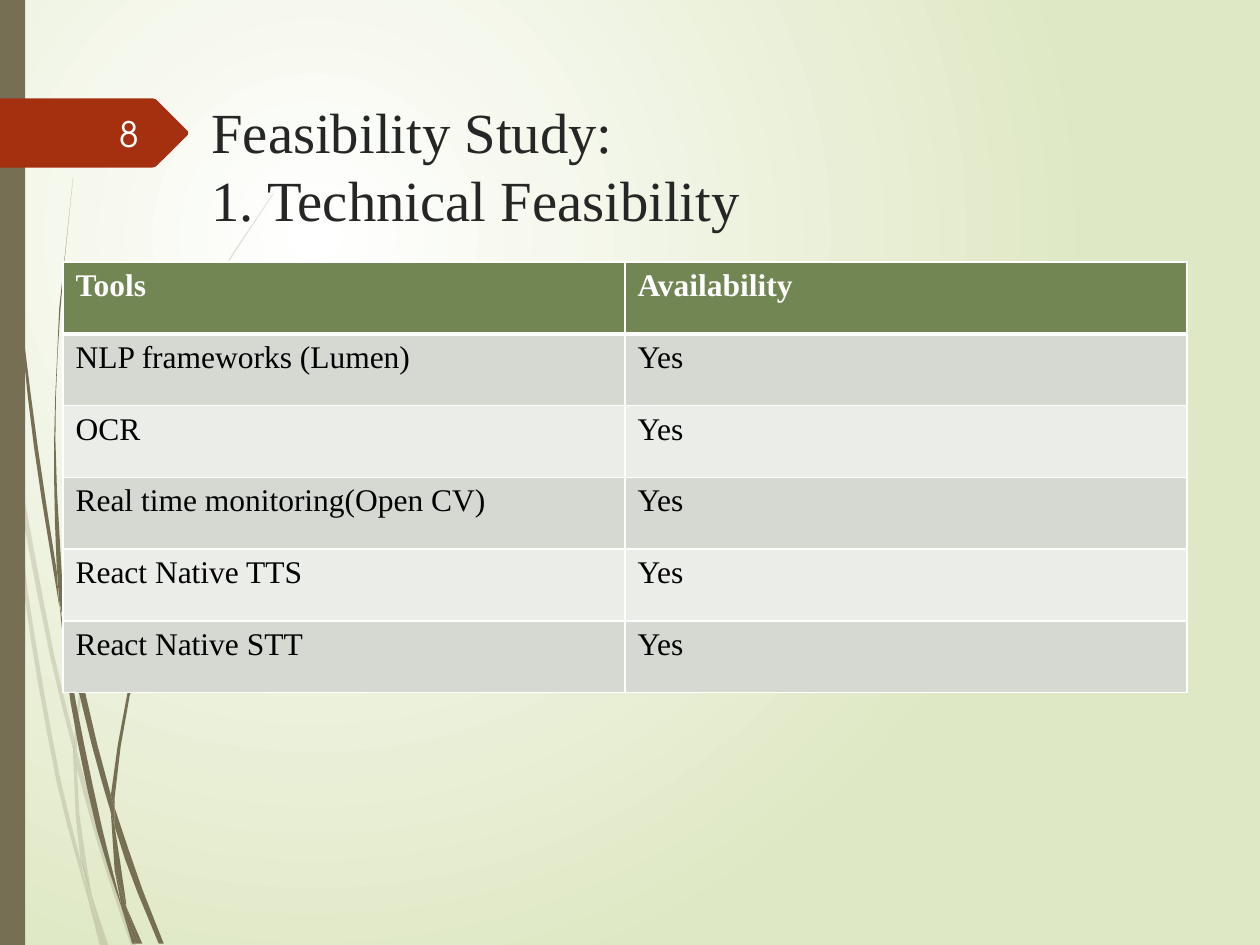
from dataclasses import dataclass
from itertools import pairwise

from lxml import etree
from pptx import Presentation
from pptx import util as u
from pptx.dml.color import RGBColor
from pptx.enum import shapes, text
from pptx.oxml import ns


@dataclass(frozen=True)
class Theme:
    bark: str = "766F54"
    tag: str = "A53010"
    glow: tuple = ("FFFFFF", "DFE8C4")
    title: str = "262626"
    header: str = "728653"
    bands: tuple = ("D5D9D1", "EBEDE9")
    light: str = "FFFFFF"
    number: str = "FEFFFF"
    ink: str = "000000"
    serif: str = "Times New Roman"
    sans: str = "TeX Gyre Adventor"
    title_size: float = 32.4
    number_size: float = 20
    table_size: float = 18


THEME = Theme()

PALE_BLADES = [
    ([(.08, 3.5), (.06, 3.22), (0, 2.82)], [(0, 2.99), (.07, 3.44)]),
    ([(.1, 3.45), (.12, 3.76), (.4, 5.22), (.59, 5.99)], [(.59, 5.86), (.43, 5.2), (.1, 3.45)]),
    ([(.61, 5.96), (.61, 6.1), (.85, 6.94), (1.04, 7.5)],
     [(1.08, 7.5), (.88, 6.92), (.64, 6.07), (.61, 5.96)]),
    ([(.73, 7.11), (.83, 7.5)], [(.86, 7.5)]),
    ([(.08, 3.5), (.19, 4.7), (.45, 6.21), (.64, 6.93), (.7, 7.14)],
     [(.69, 7.07), (.64, 6.83), (.48, 6.19), (.22, 4.69), (.12, 3.76), (.08, 3.5)]),
    ([(.58, 5.99), (.6, 6.46), (.64, 6.83), (.73, 7.11)],
     [(.72, 7.06), (.63, 6.46), (.61, 6.1), (.58, 5.99)]),
    ([(.61, 5.96), (.61, 5.84), (.76, 4.62), (1.11, 3.49), (1.59, 2.45), (2.17, 1.54)],
     [(2.17, 1.53), (1.58, 2.44), (1.1, 3.48), (.75, 4.61), (.59, 5.84)]),
    ([(.7, 7.14), (.79, 7.5)], [(.82, 7.5)]),
    ([(.61, 6.1), (.61, 5.96), (.59, 5.86)], [(.58, 5.99)]),
    ([(.65, 6.83), (.7, 7.14), (.82, 7.5)], [(.83, 7.5), (.73, 7.11), (.65, 6.83)]),
]

DARK_BLADES = [
    ([(.02, 0), (.05, 1.1), (.14, 2.33), (.27, 3.55), (.47, 4.81)],
     [(.45, 4.53), (.3, 3.55), (.15, 2.32), (.06, 1.09), (.03, 0)]),
    ([(.5, 4.72), (.53, 5.05), (.73, 5.92), (.88, 6.45)], [(.88, 6.31), (.77, 5.9), (.5, 4.72)]),
    ([(.91, 6.41), (.91, 6.56), (1.09, 7.08), (1.26, 7.49)],
     [(1.3, 7.49), (1.13, 7.06), (.91, 6.41)]),
    ([(.47, 4.77), (.56, 5.57), (.77, 6.59), (.97, 7.22)],
     [(.96, 7.17), (.81, 6.57), (.6, 5.56), (.47, 4.77)]),
    ([(.5, 4.72), (.44, 3.49), (.48, 2.45), (.58, 1.41)],
     [(.47, 2.45), (.43, 3.49), (.45, 4.49), (.49, 4.72)]),
    ([(1, 7.19), (1.1, 7.49)], [(1.13, 7.49)]),
    ([(.45, 4.49), (.47, 4.77), (.53, 5.05)], [(.5, 4.72)]),
    ([(.91, 6.41), (.91, 6.33), (1.03, 5.52), (1.31, 4.76), (1.69, 4.06), (2.16, 3.44)],
     [(2.15, 3.44), (1.68, 4.05), (1.29, 4.74), (1.01, 5.51), (.88, 6.31)]),
    ([(.97, 7.22), (1.05, 7.49)], [(1.08, 7.49)]),
    ([(.88, 6.45), (.91, 6.91), (1, 7.19)], [(1, 7.16), (.91, 6.56), (.88, 6.45)]),
    ([(.91, 6.56), (.91, 6.41), (.88, 6.31)], [(.88, 6.45)]),
    ([(.91, 6.91), (.97, 7.22), (1.08, 7.49)], [(1.1, 7.49), (1, 7.19), (.91, 6.91)]),
]

TAG_OUTLINE = [(0, 0), (1.21, 0), (1.24, .01), (1.49, .26), (1.49, .29), (1.24, .54), (1.21, .55), (0, .55)]

ROWS = [("Tools", "Availability")] + [
    (tool, "Yes") for tool in (
        "NLP frameworks (Lumen)", "OCR", "Real time monitoring(Open CV)",
        "React Native TTS", "React Native STT")
]


def smooth(edge):
    if len(edge) == 1:
        return edge
    slopes = []
    for index in range(len(edge)):
        (x1, y1), (x2, y2) = edge[max(index - 1, 0)], edge[min(index + 1, len(edge) - 1)]
        slopes.append((x2 - x1) / (y2 - y1))
    points = [edge[0]]
    for ((x1, y1), slope1), ((x2, y2), slope2) in pairwise(zip(edge, slopes)):
        rise = y2 - y1
        steps = 1 + int(abs(rise) / .5)
        for step in range(1, steps + 1):
            t = step / steps
            ease = t * t * (3 - 2 * t)
            bend = rise * t * (1 - t) * (slope1 * (1 - t) - slope2 * t)
            points.append((x1 + (x2 - x1) * ease + bend, y1 + rise * t))
    return points


def paint(shape, color, opacity=100):
    shape.shadow.inherit = False
    shape.fill.solid()
    shape.fill.fore_color.rgb = RGBColor.from_string(color)
    shape.line.fill.background()
    if opacity < 100:
        tint = shape.fill._xPr.find(".//" + ns.qn("a:srgbClr"))
        etree.SubElement(tint, ns.qn("a:alpha"), val=str(opacity * 1000))


def add_outline(parent, box, points, color, opacity=100):
    left, top = box[:2]
    corners = [(u.Inches(left + x), u.Inches(top + y)) for x, y in points]
    builder = parent.build_freeform(*corners[0], scale=1)
    builder.add_line_segments(corners[1:], close=True)
    paint(builder.convert_to_shape(), color, opacity)


def write(frame, content, font, size, color, bold=False, align=text.PP_ALIGN.LEFT, spacing=None):
    para = frame.paragraphs[0]
    para.alignment = align
    para.line_spacing = spacing
    para.text = content
    for span in para.runs:
        span.font.name = font
        span.font.size = u.Pt(size)
        span.font.bold = bold
        span.font.color.rgb = RGBColor.from_string(color)


def add_text(page, box, content, anchor=text.MSO_ANCHOR.TOP, inset=.05, **style):
    frame = page.shapes.add_textbox(*map(u.Inches, box)).text_frame
    frame.word_wrap = True
    frame.vertical_anchor = anchor
    frame.margin_top = u.Inches(inset)
    write(frame, content, **style)


def add_background(page):
    fill = page.background.fill
    fill.gradient()
    for stop, color in zip(fill.gradient_stops, THEME.glow):
        stop.color.rgb = RGBColor.from_string(color)
    gradient = page._element.find(".//" + ns.qn("a:gradFill"))
    linear = gradient.find(ns.qn("a:lin"))
    radial = etree.Element(ns.qn("a:path"), attrib={"path": "circle"})
    etree.SubElement(radial, ns.qn("a:fillToRect"), l="50000", t="50000", r="100000", b="100000")
    gradient.replace(linear, radial)


def add_grass(page, box):
    for blades, opacity in ((PALE_BLADES, 20), (DARK_BLADES, 100)):
        group = page.shapes.add_group_shape()
        for front, back in blades:
            add_outline(group.shapes, box, smooth(front) + smooth(back), THEME.bark, opacity)


def add_side_bar(page, box):
    bar = page.shapes.add_shape(shapes.MSO_SHAPE.RECTANGLE, *map(u.Inches, box))
    paint(bar, THEME.bark)


def add_border(cell, side, width):
    line = etree.SubElement(cell._tc.get_or_add_tcPr(), ns.qn("a:ln" + side), w=str(u.Pt(width)))
    fill = etree.SubElement(line, ns.qn("a:solidFill"))
    etree.SubElement(fill, ns.qn("a:srgbClr"), val=THEME.light)


def add_tools_table(page, box):
    table = page.shapes.add_table(len(ROWS), len(ROWS[0]), *map(u.Inches, box)).table
    for row, values in enumerate(ROWS):
        heading = row == 0
        thick = {0: "B", 1: "T"}.get(row)
        color = THEME.header if heading else THEME.bands[(row - 1) % 2]
        for column, value in enumerate(values):
            cell = table.cell(row, column)
            for side in "LRTB":
                add_border(cell, side, 3 if side == thick else 1)
            cell.fill.solid()
            cell.fill.fore_color.rgb = RGBColor.from_string(color)
            write(cell.text_frame, value, font=THEME.serif, size=THEME.table_size,
                  color=THEME.light if heading else THEME.ink, bold=heading)


def main():
    deck = Presentation()
    deck.slide_width, deck.slide_height = u.Inches(10), u.Inches(7.5)
    page = deck.slides.add_slide(deck.slide_layouts[6])
    add_background(page)
    add_grass(page, (0, 0, 2.17, 7.5))
    add_side_bar(page, (0, 0, .2, 7.5))
    add_outline(page.shapes, (0, .78, 1.49, .55), TAG_OUTLINE, THEME.tag)
    add_text(page, (1.58, .68, 7.75, 1.4), "Feasibility Study:\v1. Technical Feasibility", inset=.09,
             font=THEME.serif, size=THEME.title_size, color=THEME.title, spacing=u.Pt(38.9))
    add_tools_table(page, (.5, 2.08, 8.92, 3.42))
    add_text(page, (.56, .86, .64, .4), "8", anchor=text.MSO_ANCHOR.MIDDLE, font=THEME.sans,
             size=THEME.number_size, color=THEME.number, align=text.PP_ALIGN.RIGHT)
    deck.save("out.pptx")


if __name__ == "__main__":
    main()
